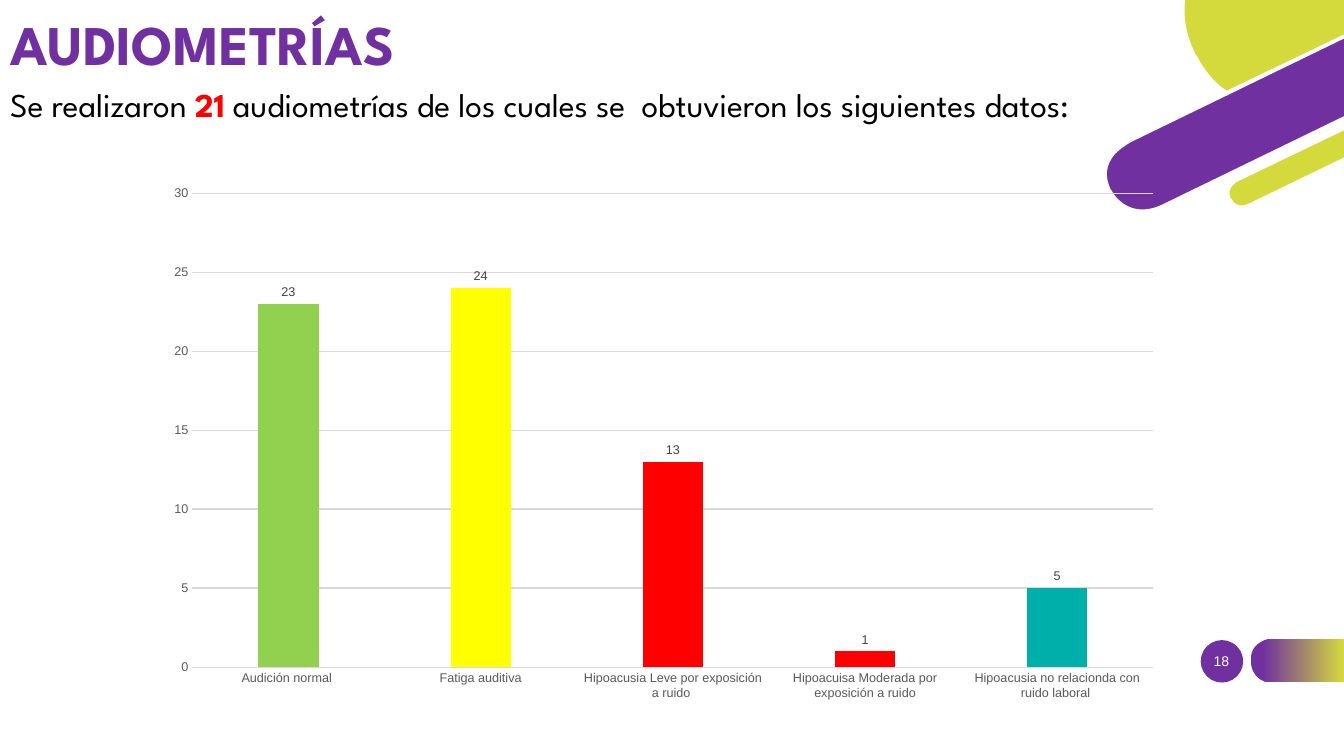
from pptx import Presentation
from pptx.chart.data import CategoryChartData as Data
from pptx.dml.color import RGBColor as RGB
from pptx.enum.chart import XL_CHART_TYPE as Kind, XL_LABEL_POSITION as Spot, XL_TICK_MARK as Tick
from pptx.enum.shapes import MSO_SHAPE as Form
from pptx.enum.text import MSO_ANCHOR as Anchor, MSO_AUTO_SIZE as Auto, PP_ALIGN as Align
from pptx.oxml.xmlchemy import OxmlElement as Node
from pptx.util import Cm, Pt

PURPLE, LIME, WHITE, GRAY = "7030A0", "D5DA3C", "FFFFFF", "D9D9D9"
INCH, EDGE = 2.54, 13.34
hue = RGB.from_string


def write(para, text, font="League Spartan", size=23.8, color="000000", bold=False):
    run = para.add_run()
    run.text = text
    run.font.name, run.font.size, run.font.bold = font, Pt(size), bold
    run.font.color.rgb = hue(color)


def draw(home, start, steps, color):
    dots = [start] + [step[i:i + 2] for step in steps for i in range(0, len(step), 2)]
    dots = [(Cm(x * INCH), Cm(y * INCH)) for x, y in dots]
    pen = home.build_freeform(*dots[0], scale=1.0)
    pen.add_line_segments(dots[1:], close=True)
    shape = pen.convert_to_shape()
    lines = iter(shape._element.xpath(".//a:lnTo"))
    for step in steps:
        line = next(lines)
        if len(step) == 6:
            curve = Node("a:cubicBezTo")
            line.addprevious(curve)
            for old in (line, next(lines), next(lines)):
                curve.append(old[0])
                old.getparent().remove(old)
    shape.shadow.inherit = False
    shape.line.fill.background()
    shape.fill.solid()
    shape.fill.fore_color.rgb = hue(color)
    return shape


deck = Presentation()
deck.slide_width, deck.slide_height = Cm(33.87), Cm(19.05)
slide = deck.slides.add_slide(deck.slide_layouts[1])

title, body = slide.placeholders
for holder, top, wide, high in ((title, 0.13, 24.26, 2.13), (body, 2.26, 29.21, 1.68)):
    holder.left, holder.top, holder.width, holder.height = Cm(0), Cm(top), Cm(wide), Cm(high)
    holder.text_frame.auto_size = Auto.NONE
    holder.text_frame.word_wrap = True

title.text_frame.vertical_anchor = Anchor.MIDDLE
head = title.text_frame.paragraphs[0]
head.alignment, head.line_spacing = Align.LEFT, 0.9
write(head, "AUDIOMETRÍAS", size=40, color=PURPLE, bold=True)

body.text_frame.vertical_anchor = Anchor.TOP
lead = body.text_frame.paragraphs[0]
lead.line_spacing, lead.space_before = 0.7, Pt(0)
props = lead._p.get_or_add_pPr()
props.set("marL", "0")
props.set("indent", "0")
props.append(Node("a:buNone"))
write(lead, "Se realizaron ")
write(lead, "21", color="FF0000", bold=True)
write(lead, " audiometrías de los cuales se  obtuvieron los siguientes datos:")

disc = slide.shapes.add_shape(Form.OVAL, Cm(30.26), Cm(16.13), Cm(1.07), Cm(1.07))
disc.shadow.inherit = False
disc.line.fill.background()
disc.fill.solid()
disc.fill.fore_color.rgb = hue(PURPLE)

pill = draw(slide.shapes, (12.62, 6.77), [
    (EDGE, 6.77), (EDGE, 6.34), (12.62, 6.34),
    (12.62, 6.34, 12.41, 6.34, 12.41, 6.55), (12.41, 6.56),
    (12.41, 6.56, 12.41, 6.77, 12.62, 6.77)], PURPLE)
pill.fill.gradient()
pill.fill.gradient_angle = 0
for stop, place, color in zip(pill.fill.gradient_stops, (0.12, 1), (PURPLE, LIME)):
    stop.position, stop.color.rgb = place, hue(color)

decor = slide.shapes.add_group_shape().shapes
draw(decor, (EDGE, 0.81), [
    (13.06, 0.94), (12.74, 1.1, 12.44, 1.08, 12.19, 0.89),
    (11.99, 0.74, 11.89, 0.55, 11.89, 0.55), (11.88, 0.52),
    (11.79, 0.34, 11.75, 0.16, 11.78, 0), (11.74, 0),
    (11.71, 0.17, 11.75, 0.35, 11.84, 0.54), (11.86, 0.57),
    (11.86, 0.58, 11.96, 0.77, 12.16, 0.92), (12.28, 1.01, 12.44, 1.09, 12.65, 1.09),
    (12.77, 1.09, 12.91, 1.06, 13.08, 0.98), (EDGE, 0.86)], WHITE)
draw(decor, (11.21, 1.39), [
    (11.21, 1.39, 10.85, 1.57, 11.01, 1.89), (11.01, 1.9),
    (11.01, 1.9, 11.17, 2.22, 11.54, 2.04), (EDGE, 1.17), (EDGE, 0.36)], PURPLE)
draw(decor, (11.88, 0.56), [
    (11.88, 0.56, 11.97, 0.76, 12.17, 0.9), (EDGE, 0.34), (EDGE, 0), (11.76, 0),
    (11.74, 0.15, 11.76, 0.33, 11.86, 0.53)], LIME)
draw(decor, (EDGE, 1.26), [
    (12.27, 1.78), (12.27, 1.78, 12.13, 1.85, 12.2, 1.97), (12.2, 1.98),
    (12.2, 1.98, 12.26, 2.11, 12.4, 2.04), (EDGE, 1.58)], LIME)
draw(decor, (12.39, 2.02), [
    (12.27, 2.08, 12.22, 1.98, 12.22, 1.97), (12.21, 1.97),
    (12.16, 1.86, 12.28, 1.8, 12.28, 1.8), (EDGE, 1.29), (EDGE, 1.24), (12.26, 1.76),
    (12.26, 1.76, 12.19, 1.8, 12.17, 1.87), (12.15, 1.91, 12.16, 1.95, 12.18, 1.99),
    (12.2, 2.03, 12.25, 2.08, 12.32, 2.08), (12.35, 2.08, 12.38, 2.08, 12.41, 2.06),
    (EDGE, 1.61), (EDGE, 1.56)], WHITE)
draw(decor, (11.53, 2.03), [
    (11.19, 2.19, 11.03, 1.9, 11.03, 1.89), (11.02, 1.88),
    (10.96, 1.75, 10.97, 1.64, 11.06, 1.53), (11.13, 1.46, 11.22, 1.41, 11.22, 1.41),
    (EDGE, 0.38), (EDGE, 0.34), (11.2, 1.37),
    (11.19, 1.38, 11.02, 1.46, 10.96, 1.63), (10.93, 1.71, 10.94, 1.8, 10.99, 1.9),
    (10.99, 1.91), (10.99, 1.91, 11.1, 2.12, 11.33, 2.12),
    (11.39, 2.12, 11.46, 2.1, 11.54, 2.06), (EDGE, 1.19), (EDGE, 1.15)], WHITE)

page = slide.shapes.add_textbox(Cm(30.02), Cm(16.15), Cm(1.52), Cm(1.02)).text_frame
page.word_wrap, page.vertical_anchor = True, Anchor.MIDDLE
page.paragraphs[0].alignment = Align.CENTER
write(page.paragraphs[0], "18", font="Arial", size=10, color=WHITE)

bars = (
    ("Audición normal ", 23, "92D050"),
    ("Fatiga auditiva", 24, "FFFF00"),
    ("Hipoacusia Leve por exposición a ruido ", 13, "FF0000"),
    ("Hipoacuisa Moderada por exposición a ruido", 1, "FF0000"),
    ("Hipoacusia no relacionda con ruido laboral ", 5, "00AFA9"),
)
names, counts, colors = zip(*bars)
data = Data()
data.categories = names
data.add_series("Series 1", counts)
chart = slide.shapes.add_chart(
    Kind.COLUMN_CLUSTERED, Cm(3.88), Cm(4.41), Cm(25.7), Cm(13.51), data).chart
chart.has_legend = chart.has_title = False
chart.font.name, chart.font.size = "Arial", Pt(10)
chart.font.color.rgb = hue("000000")

plot = chart.plots[0]
plot.gap_width, plot.overlap, plot.vary_by_categories = 219, -27, False
plot.has_data_labels = True
tags = plot.data_labels
tags.show_value, tags.position = True, Spot.OUTSIDE_END
bar = plot.series[0]
bar.format.fill.solid()
bar.format.fill.fore_color.rgb = hue(PURPLE)
for i, color in enumerate(colors):
    fill = bar.points[i].format.fill
    fill.solid()
    fill.fore_color.rgb = hue(color)

base, scale = chart.category_axis, chart.value_axis
for part, color in ((base.tick_labels, "595959"), (scale.tick_labels, "595959"), (tags, "404040")):
    part.font.name, part.font.size = "Arial", Pt(9)
    part.font.color.rgb = hue(color)
for axis in (base, scale):
    axis.major_tick_mark = axis.minor_tick_mark = Tick.NONE
scale.minimum_scale, scale.maximum_scale, scale.major_unit = 0, 30, 5
scale.has_major_gridlines = True
scale.format.line.fill.background()
for line in (base.format.line, scale.major_gridlines.format.line):
    line.color.rgb, line.width = hue(GRAY), Pt(0.75)

deck.save("out.pptx")
